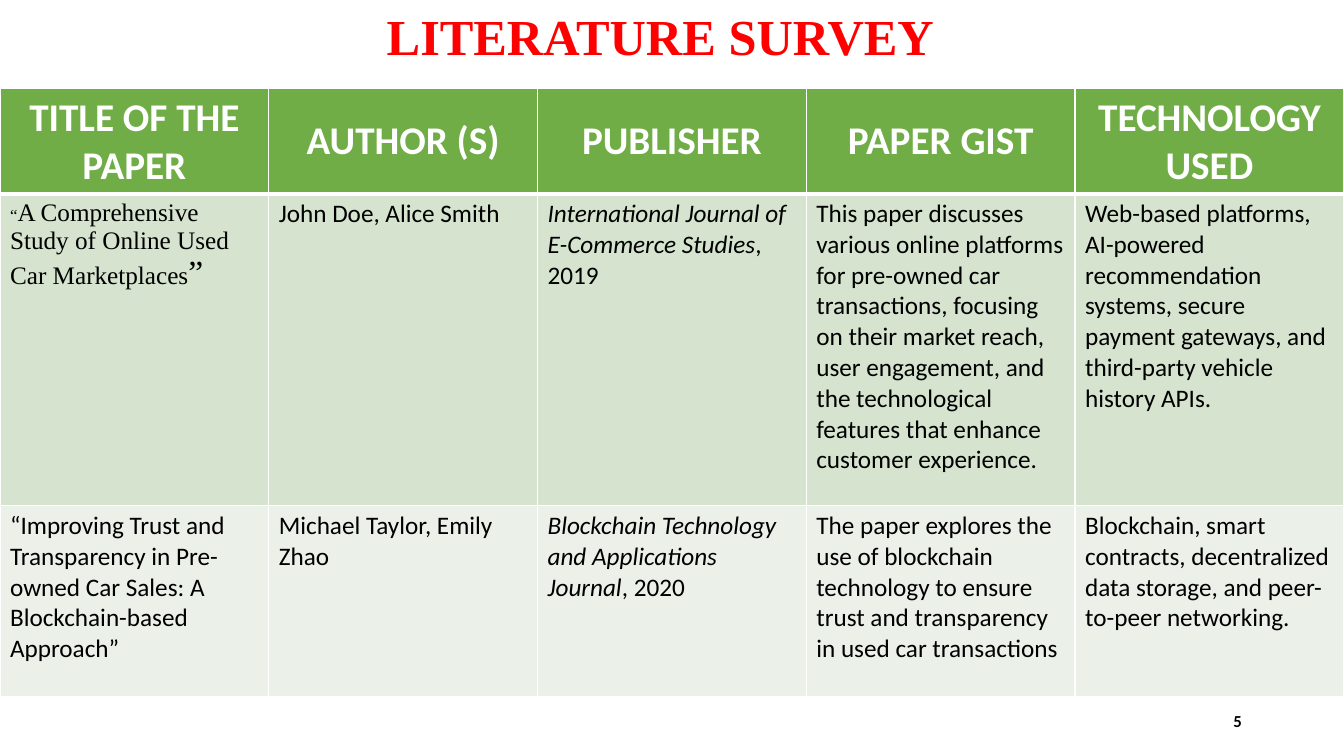
from lxml import etree
from pptx import Presentation
from pptx.dml.color import RGBColor
from pptx.enum.text import MSO_ANCHOR, PP_ALIGN
from pptx.oxml.ns import qn
from pptx.util import Cm, Pt

CENTER, LEFT, RIGHT = PP_ALIGN.CENTER, PP_ALIGN.LEFT, PP_ALIGN.RIGHT
TOP, MIDDLE = MSO_ANCHOR.TOP, MSO_ANCHOR.MIDDLE
SERIF, SANS = "Times New Roman", "Calibri"
COLORS = {
    "title": "FF0000",
    "text": "000000",
    "white": "FFFFFF",
    "header": "70AD47",
    "band_dark": "D5E3CF",
    "band_light": "EBF1E9",
}
SLIDE_W, SLIDE_H = 33.87, 19.05
ROW_HEIGHTS = [2.64, 7.86, 4.81]

HEADERS = ["TITLE OF THE PAPER", "AUTHOR (S)", "PUBLISHER", "PAPER GIST", "TECHNOLOGY USED"]
# A cell is a string, or a list of (text, format) runs.
PAPERS = [
    [
        [
            ("“", {"font": SERIF, "size": 12}),
            ("A Comprehensive Study of Online Used Car Marketplaces", {"font": SERIF}),
            ("”", {"font": SERIF, "size": 24}),
        ],
        "John Doe, Alice Smith",
        [("International Journal of E-Commerce Studies", {"italic": True}), (", 2019", {})],
        "This paper discusses various online platforms for pre-owned car transactions, "
        "focusing on their market reach, user engagement, and the technological features "
        "that enhance customer experience.",
        "Web-based platforms, AI-powered recommendation systems, secure payment gateways, "
        "and third-party vehicle history APIs.",
    ],
    [
        "“Improving Trust and Transparency in Pre-owned Car Sales: A Blockchain-based Approach”",
        "Michael Taylor, Emily Zhao",
        [("Blockchain Technology and Applications Journal", {"italic": True}), (", 2020", {})],
        "The paper explores the use of blockchain technology to ensure trust and "
        "transparency in used car transactions",
        "Blockchain, smart contracts, decentralized data storage, and peer-to-peer networking.",
    ],
]


def rgb(name):
    return RGBColor.from_string(COLORS[name])


def add_run(p, text, font=SANS, size=18, color="text", bold=False, italic=False):
    r = p.add_run()
    r.text = text
    r.font.name = font
    r.font.size = Pt(size)
    r.font.color.rgb = rgb(color)
    r.font.bold = bold
    r.font.italic = italic


def write(tf, content, align=LEFT, anchor=TOP, **fmt):
    """Fill a text frame with one paragraph from a string or a list of runs."""
    tf.vertical_anchor = anchor
    p = tf.paragraphs[0]
    p.alignment = align
    runs = [(content, {})] if isinstance(content, str) else content
    for text, run_fmt in runs:
        add_run(p, text, **{**fmt, **run_fmt})


def set_borders(cell, bottom, top):
    """Draw white cell borders; widths are in points."""
    tcPr = cell._tc.get_or_add_tcPr()
    for side, width in (("L", 1), ("R", 1), ("T", top), ("B", bottom)):
        ln = etree.SubElement(tcPr, qn(f"a:ln{side}"), w=str(Pt(width)))
        fill = etree.SubElement(ln, qn("a:solidFill"))
        etree.SubElement(fill, qn("a:srgbClr"), val=COLORS["white"])


def add_title(s, x, y, w, h):
    title = s.shapes.title
    title.left, title.top, title.width, title.height = Cm(x), Cm(y), Cm(w), Cm(h)
    tf = title.text_frame
    tf.word_wrap = False
    write(tf, "LITERATURE SURVEY", CENTER, font=SERIF, size=36, color="title", bold=True)


def add_survey_table(s, x, y, w, row_heights):
    rows = [HEADERS] + PAPERS
    frame = s.shapes.add_table(len(rows), len(HEADERS), Cm(x), Cm(y), Cm(w), Cm(sum(row_heights)))
    table = frame.table
    for column in table.columns:
        column.width = Cm(w / len(HEADERS))
    fills = ["header", "band_dark", "band_light"]
    for i, (row, height, fill) in enumerate(zip(rows, row_heights, fills)):
        table.rows[i].height = Cm(height)
        for j, content in enumerate(row):
            cell = table.cell(i, j)
            set_borders(cell, bottom=3 if i == 0 else 1, top=3 if i == 1 else 1)
            cell.fill.solid()
            cell.fill.fore_color.rgb = rgb(fill)
            if i == 0:
                write(cell.text_frame, content, CENTER, size=28, color="white", bold=True)
                cell.vertical_anchor = MIDDLE
            else:
                write(cell.text_frame, content)


def add_page_number(s, x, y, w, h):
    tf = s.shapes.add_textbox(Cm(x), Cm(y), Cm(w), Cm(h)).text_frame
    tf.word_wrap = True
    write(tf, "5", RIGHT, MIDDLE, size=12, bold=True)


def main():
    prs = Presentation()
    prs.slide_width, prs.slide_height = Cm(SLIDE_W), Cm(SLIDE_H)
    s = prs.slides.add_slide(prs.slide_layouts[5])
    s.background.fill.solid()
    s.background.fill.fore_color.rgb = rgb("white")
    add_page_number(s, 23.93, 17.65, 7.62, 1.02)
    add_title(s, 9.42, 0, 14.45, 1.8)
    add_survey_table(s, 0, 2.24, SLIDE_W, ROW_HEIGHTS)
    prs.save("out.pptx")


if __name__ == "__main__":
    main()
